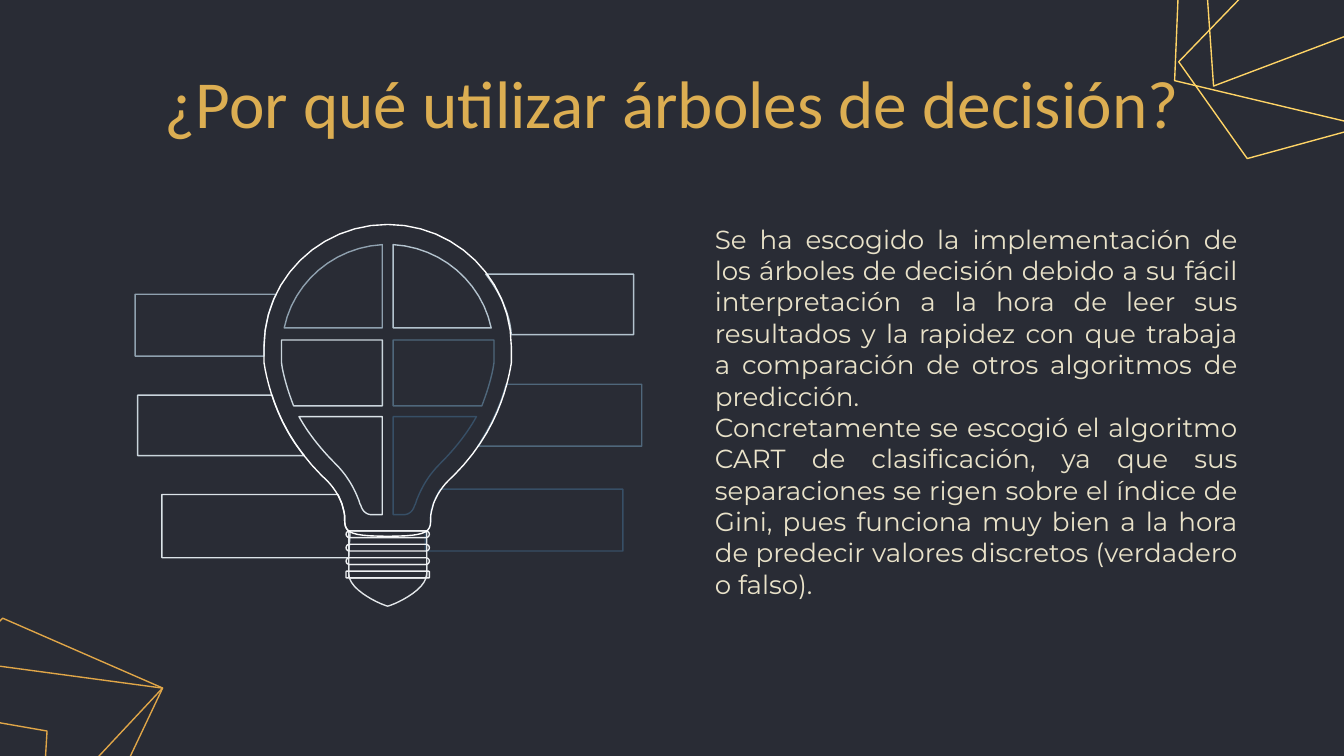
from pptx import Presentation
from pptx.dml.color import RGBColor
from pptx.enum.shapes import MSO_SHAPE
from pptx.enum.text import MSO_ANCHOR, PP_ALIGN
from pptx.util import Inches, Pt

ROUNDED = MSO_SHAPE.ROUNDED_RECTANGLE
TOP, MIDDLE = MSO_ANCHOR.TOP, MSO_ANCHOR.MIDDLE
CENTER, JUSTIFY = PP_ALIGN.CENTER, PP_ALIGN.JUSTIFY

NIGHT, GOLD, CREAM = "292C35", "DCAE52", "E9E2C9"
BRIGHT_GOLD, DARK_GOLD = "FFD466", "E0A648"
WHITE, SILVER, THREAD = "FEFEFE", "E3E7EA", "EEF0F2"
LEFT_COLORS = ["8FA1AF", "C9D4DC", "DBE3E8"]
RIGHT_COLORS = ["B3C3CE", "4F677B", "374F66"]
CURVE_STEPS = 12

TITLE = "¿Por qué utilizar árboles de decisión?"
REASONS = [
    "Se ha escogido la implementación de los árboles de decisión debido a su fácil "
    "interpretación a la hora de leer sus resultados y la rapidez con que trabaja a "
    "comparación de otros algoritmos de predicción. ",
    "Concretamente se escogió el algoritmo CART de clasificación, ya que sus "
    "separaciones se rigen sobre el índice de Gini, pues funciona muy bien a la hora "
    "de predecir valores discretos (verdadero o falso).",
]

TOP_RIGHT_WIRES = [
    [(0.29, 0.64), (0.13, -1.66), (2.97, -1.27), (2.46, -0.18)],
    [(0, 0.6), (0.05, -0.6), (1.73, -1.2), (2.66, -1.06), (2.63, -0.48), (1.68, 1)],
    [(0.54, 1.18), (0.03, 0.46), (1.77, -1.34), (3.14, -0.77), (1.71, 0.86)],
]
BOTTOM_LEFT_WIRES = [
    [(-1.99, 2.23), (-1.92, 1.18), (-0.45, 0.7), (0.35, 0.84), (0.32, 1.35), (-0.55, 2.6)],
    [(-1.1, 2.17), (-1.52, 1.53), (0.02, 0), (1.21, 0.52), (-0.08, 1.9)],
    [(-1.1, 2.17), (-1.24, 0.19), (1.21, 0.52), (0.76, 1.47)],
]

LEFT_BARS = [
    (-1.88, [(-0.83, 0.52), (-0.89, 0.64, -0.92, 0.78, -0.92, 0.91), (-0.92, 0.98)]),
    (-1.86, [(-0.86, 1.27), (-0.81, 1.43, -0.73, 1.59, -0.62, 1.72)]),
    (-1.68, [(-0.37, 2.01), (-0.36, 2.03, -0.35, 2.06, -0.34, 2.08),
             (-0.33, 2.12, -0.32, 2.15, -0.32, 2.18),
             (-0.32, 2.23, -0.32, 2.26, -0.28, 2.29), (-0.29, 2.48)]),
]
RIGHT_BARS = [
    (1.83, [(0.73, 0.37), (0.83, 0.5, 0.91, 0.66, 0.92, 0.82)]),
    (1.89, [(0.88, 1.19), (0.84, 1.35, 0.76, 1.51, 0.67, 1.65)]),
    (1.75, [(0.39, 1.97), (0.37, 2.01, 0.35, 2.04, 0.34, 2.08),
            (0.32, 2.12, 0.32, 2.15, 0.32, 2.18),
            (0.32, 2.23, 0.32, 2.26, 0.28, 2.29), (0.28, 2.43)]),
]
RIGHT_PANES = [
    [(0.04, 0.77), (0.77, 0.77), (0.7, 0.43, 0.4, 0.17, 0.04, 0.15)],
    [(0.04, 1.35), (0.7, 1.35), (0.75, 1.22, 0.78, 1.11, 0.79, 1.03),
     (0.79, 0.86), (0.04, 0.86)],
    [(0.04, 1.43), (0.04, 2.16), (0.12, 2.16), (0.16, 2.16, 0.19, 2.13, 0.2, 2.09),
     (0.21, 2.08, 0.21, 2.06, 0.22, 2.04), (0.26, 1.94, 0.31, 1.86, 0.39, 1.78),
     (0.51, 1.66, 0.6, 1.54, 0.66, 1.43)],
]
GLASS_HALF = [
    (0, 0), (0.51, 0, 0.92, 0.41, 0.92, 0.91), (0.92, 1.03),
    (0.89, 1.21, 0.81, 1.55, 0.49, 1.87), (0.42, 1.93, 0.37, 2, 0.34, 2.08),
    (0.33, 2.12, 0.32, 2.15, 0.32, 2.18), (0.32, 2.28, 0.32, 2.32, 0, 2.32),
]
TIP_HALF = [(0, 2.53), (0.29, 2.53), (0.29, 2.6), (0.29, 2.73, 0.02, 2.84, 0, 2.84)]


def rgb(color):
    """Turn a hex string into a colour."""
    return RGBColor.from_string(color)


def flatten(segments):
    """Turn points and cubic curve segments into a list of points."""
    points = []
    for segment in segments:
        if len(segment) == 2:
            points.append(segment)
            continue
        start, (ax, ay, bx, by, x, y) = points[-1], segment
        for step in range(1, CURVE_STEPS + 1):
            t = step / CURVE_STEPS
            weights = ((1 - t) ** 3, 3 * t * (1 - t) ** 2, 3 * t * t * (1 - t), t ** 3)
            points.append(tuple(
                sum(w * v for w, v in zip(weights, values))
                for values in ((start[0], ax, bx, x), (start[1], ay, by, y))))
    return points


def mirror(points):
    """Reflect points across the vertical axis."""
    return [(-x, y) for x, y in points]


def style_outline(shape, color):
    """Leave a shape unfilled with a thin line."""
    shape.shadow.inherit = False
    shape.fill.background()
    shape.line.color.rgb = rgb(color)
    shape.line.width = Pt(0.75)


def draw_outline(slide, origin, points, color):
    """Draw a closed outline whose points are relative to the origin."""
    places = [(Inches(origin[0] + x), Inches(origin[1] + y)) for x, y in points]
    builder = slide.shapes.build_freeform(*places[0])
    builder.add_line_segments(places[1:], close=True)
    style_outline(builder.convert_to_shape(), color)


def draw_rounded(slide, left, top, width, height, roundness, color):
    """Draw an unfilled rounded rectangle."""
    shape = slide.shapes.add_shape(
        ROUNDED, Inches(left), Inches(top), Inches(width), Inches(height))
    shape.adjustments[0] = roundness
    style_outline(shape, color)


def add_wires(slide, left, top, wires, color):
    """Draw a corner ornament of crossing polygons."""
    for wire in wires:
        draw_outline(slide, (left, top), wire, color)


def add_text(slide, left, top, width, height, paragraphs, font, size, color, align, anchor):
    """Place paragraphs of one style in a text box."""
    frame = slide.shapes.add_textbox(
        Inches(left), Inches(top), Inches(width), Inches(height)).text_frame
    frame.word_wrap = True
    frame.vertical_anchor = anchor
    frame.margin_left = frame.margin_right = Inches(0.1)
    frame.margin_top = frame.margin_bottom = Inches(0.1)
    for index, text in enumerate(paragraphs):
        paragraph = frame.add_paragraph() if index else frame.paragraphs[0]
        paragraph.alignment = align
        run = paragraph.add_run()
        run.text = text
        run.font.name = font
        run.font.size = Pt(size)
        run.font.color.rgb = rgb(color)


def add_bulb(slide, left, top, width):
    """Draw the light bulb with its panes, side bars and screw base."""
    axis = left + width / 2
    origin = (axis, top)
    for bars, colors in ((RIGHT_BARS, RIGHT_COLORS), (LEFT_BARS, LEFT_COLORS)):
        for (outer, edge), color in zip(bars, colors):
            inner = flatten(edge)
            corners = [(outer, inner[-1][1]), (outer, inner[0][1])]
            draw_outline(slide, origin, inner + corners, color)
    for pane, left_color, right_color in zip(RIGHT_PANES, LEFT_COLORS, RIGHT_COLORS):
        points = flatten(pane)
        draw_outline(slide, origin, points, right_color)
        draw_outline(slide, origin, mirror(points), left_color)

    tip = flatten(TIP_HALF)
    draw_outline(slide, origin, tip + mirror(tip)[::-1], SILVER)
    draw_rounded(slide, axis - 0.29, top + 2.28, 0.58, 0.35, 0.04, SILVER)
    for row, roundness in enumerate((0.5, 0.5, 0.5, 0.1)):
        draw_rounded(slide, axis - 0.31, top + 2.28 + 0.1 * row, 0.62, 0.05,
                     roundness, THREAD)
    glass = flatten(GLASS_HALF)
    draw_outline(slide, origin, glass + mirror(glass)[::-1], WHITE)


def main():
    """Build the slide and save it."""
    deck = Presentation()
    deck.slide_width, deck.slide_height = Inches(10), Inches(10 * 9 / 16)
    slide = deck.slides.add_slide(deck.slide_layouts[6])
    slide.background.fill.solid()
    slide.background.fill.fore_color.rgb = rgb(NIGHT)
    add_wires(slide, 8.74, 0, TOP_RIGHT_WIRES, BRIGHT_GOLD)
    add_wires(slide, 0, 4.6, BOTTOM_LEFT_WIRES, DARK_GOLD)
    add_text(slide, 5.22, 1.56, 4.09, 3.21, REASONS, "Montserrat", 14, CREAM, JUSTIFY, TOP)
    add_text(slide, 1.09, 0.52, 7.82, 0.47, [TITLE], "Calibri", 36, GOLD, CENTER, MIDDLE)
    add_bulb(slide, 1.01, 1.67, 3.75)
    deck.save("out.pptx")


if __name__ == "__main__":
    main()
